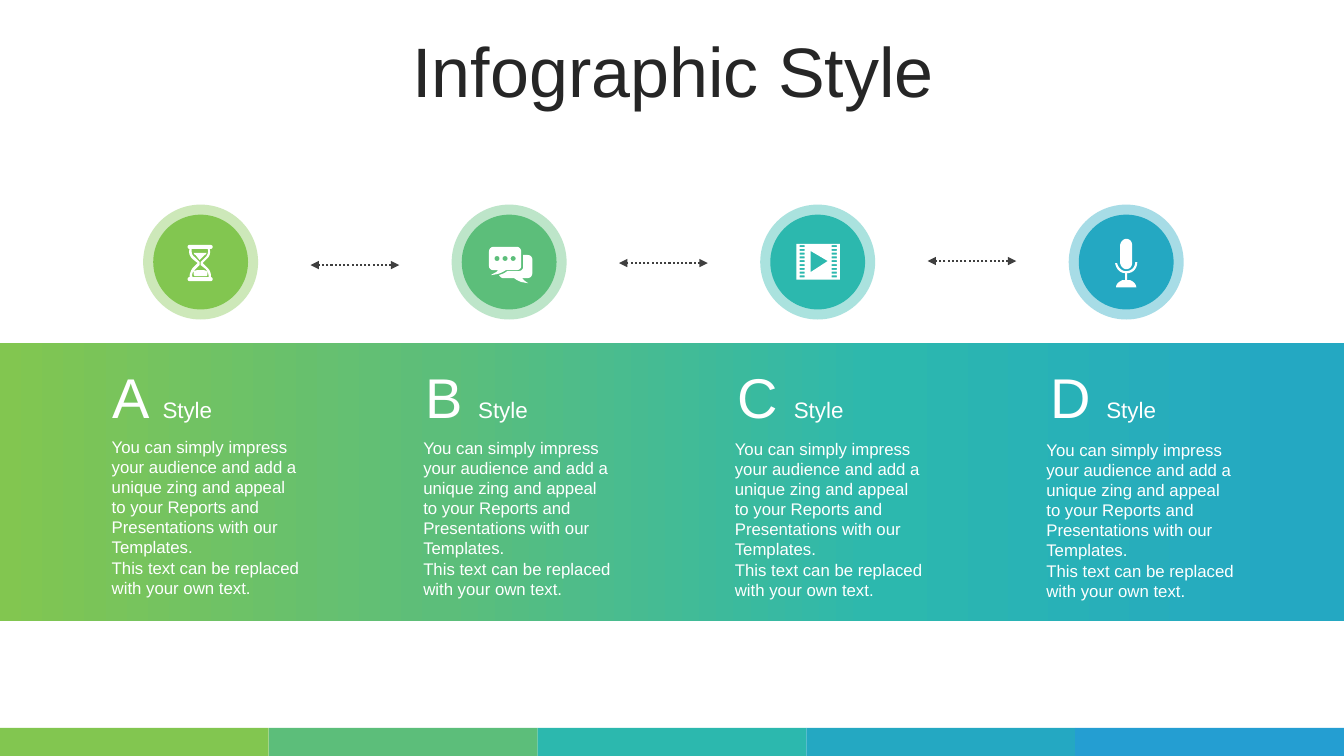
from lxml import etree
from pptx import Presentation
from pptx import util as u
from pptx.dml.color import RGBColor
from pptx.enum import dml, shapes, text
from pptx.oxml import ns

GREEN, MINT, TEAL, BLUE, AZURE = "82C650", "5CBE7A", "2CB8AE", "24A8C2", "249ED2"
WHITE = "FFFFFF"
KIND = shapes.MSO_SHAPE
BODY = (
    "You can simply impress your audience and add a unique zing and appeal "
    "to your Reports and Presentations with our Templates.\n"
    "This text can be replaced with your own text."
)


def paint(code):
    return RGBColor.from_string(code)


def child(node, tag, **attrs):
    return etree.SubElement(node, ns.qn(tag), **attrs)


def trace(outline):
    points = []
    for part in outline.split(","):
        nums = [float(n) for n in part.split()]
        if len(nums) == 2:
            points.append(tuple(nums))
            continue
        ends = [points[-1], *zip(nums[::2], nums[1::2])]
        for step in range(1, 9):
            t = step / 8
            mix = ((1 - t) ** 3, 3 * t * (1 - t) ** 2, 3 * t * t * (1 - t), t ** 3)
            points.append(tuple(sum(m * p[i] for m, p in zip(mix, ends)) for i in (0, 1)))
    return points


def block(x, y, w, h):
    return f"{x} {y}, {x + w} {y}, {x + w} {y + h}, {x} {y + h}"


def dot(x, y, r):
    a, b, top, low = x - r, x + r, y - r * 4 / 3, y + r * 4 / 3
    return f"{a} {y}, {a} {top} {b} {top} {b} {y}, {b} {low} {a} {low} {a} {y}"


GLASS = [
    "2 0, 23 0, 24 0 25 1 25 2, 25 3 24 4 23 4, 22 4, 23 8 22 11 20 13, 15 18, "
    "20 23, 22 25 24 29 23 32, 24 32 25 33 25 34, 25 35 24 36 23 36, 2 36, "
    "1 36 0 35 0 34, 0 33 1 32 2 32, 2 29 3 26 5 23, 10 18, 5 14, "
    "2 11 1 8 2 4, 1 4 0 3 0 2, 0 1 1 0 2 0",
    "4 4, 4 7 4 10 7 12, 12 17, 12 20, 7 25, 5 27 4 29 5 32, 21 32, "
    "21 29 20 26 18 24, 13 20, 13 17, 18 12, 20 10 21 7 20 4",
    "6 8, 19 8, 18 9 18 10 17 10, 12 15, 8 10, 7 10 7 9 6 8",
    "13 25, 15 25 17 25 19 26, 20 28 20 30 19 31, 7 31, 6 30 6 28 6 26, 9 25 11 25 13 25",
]
CHAT = [
    "4 0, 28 0, 30 0 32 2 32 5, 32 19, 32 21 30 23 28 23, 17 23, 12 26 10 27 2 28, "
    "6 25 7 26 9 23, 4 23, 2 23 0 21 0 19, 0 5, 0 2 2 0 4 0",
    "34 8, 38 8, 41 8 43 10 43 12, 43 26, 43 29 41 31 38 31, 33 31, "
    "34 32 34 33 39 36, 31 35 29 34 25 31, 14 31, 13 31 11 30 10 28, "
    "13 27 16 26 18 24, 29 24, 32 24 34 22 34 20",
] + [dot(x, 11.5, 2.5) for x in (8, 16, 24)]
FILM = [block(0, 0, 43, 35.5), "14 7, 14 28, 31 17"] + [
    block(x, 1.2 + 3.75 * row, 5, 2) for x in (3, 35) for row in range(9)
]
MIC = [
    "22 23, 22 29 18 34 12 34, 12 41, 13 41 14 41 15 41, 18 42 21 45 21 48, 1 48, "
    "1 45 3 43 7 41, 8 41 9 41 10 41, 10 34, 5 34 1 30 0 24, 2 24, "
    "3 29 7 32 11 32, 16 32 20 28 20 23",
    "11 0, 15 0 17 3 17 7, 17 23, 17 27 15 30 11 30, 8 30 5 27 5 23, 5 7, 5 3 8 0 11 0",
]


class Deck:
    font = "Arial"

    def __init__(self):
        self.show = Presentation()
        self.show.slide_width = u.Inches(13.33)
        self.show.slide_height = u.Inches(7.5)
        self.slide = self.show.slides.add_slide(self.show.slide_layouts[6])
        self.items = self.slide.shapes

    def plain(self, shape, color):
        shape.shadow.inherit = False
        shape.fill.solid()
        shape.fill.fore_color.rgb = paint(color)
        shape.line.fill.background()

    def shape(self, kind, area, color, alpha=100):
        item = self.items.add_shape(kind, *map(u.Inches, area))
        self.plain(item, color)
        if alpha < 100:
            tint = item._element.spPr.find(".//" + ns.qn("a:srgbClr"))
            child(tint, "a:alpha", val=str(alpha * 1000))
        return item

    def band(self, area, stops):
        item = self.shape(KIND.RECTANGLE, area, GREEN)
        item.fill.gradient()
        item.fill.gradient_angle = 0
        group = item._element.spPr.find(".//" + ns.qn("a:gsLst"))
        for old in list(group):
            group.remove(old)
        for spot, color in stops:
            stop = child(group, "a:gs", pos=str(spot * 1000))
            child(stop, "a:srgbClr", val=color)

    def style(self, run, size, color):
        run.font.name = self.font
        run.font.size = u.Pt(size)
        run.font.color.rgb = paint(color)

    def label(self, area, words, size, color=WHITE, anchor=text.MSO_ANCHOR.TOP):
        frame = self.items.add_textbox(*map(u.Inches, area)).text_frame
        frame.word_wrap = True
        frame.vertical_anchor = anchor
        frame.text = words
        for para in frame.paragraphs:
            for run in para.runs:
                self.style(run, size, color)
        return frame.paragraphs[0]

    def arrow(self, x, y, end):
        line = self.items.add_connector(
            shapes.MSO_CONNECTOR.STRAIGHT, *map(u.Inches, (x, y, end, y))
        )
        line.line.color.rgb = paint("3F3F3F")
        line.line.width = u.Pt(1.5)
        line.line.dash_style = dml.MSO_LINE.ROUND_DOT
        props = line._element.spPr
        for tip in ("a:headEnd", "a:tailEnd"):
            child(props.find(ns.qn("a:ln")), tip, type="triangle")
        child(props, "a:effectLst")

    def icon(self, x, y, outlines):
        pen = None
        for outline in outlines:
            points = [(x * 1000 + a * 10, y * 1000 + b * 10) for a, b in trace(outline)]
            if pen is None:
                pen = self.items.build_freeform(*points[0], scale=u.Inches(1) / 1000)
            else:
                pen.move_to(*points[0])
            pen.add_line_segments(points[1:], close=True)
        self.plain(pen.convert_to_shape(), WHITE)


def main():
    deck = Deck()
    for i, color in enumerate((GREEN, MINT, TEAL, BLUE, AZURE)):
        deck.shape(KIND.RECTANGLE, (i * 13.33 / 5, 7.22, 13.33 / 5, 0.28), color)

    title = deck.label(
        (0.35, 0.37, 12.66, 0.79), "Infographic Style", 50, "262626", text.MSO_ANCHOR.MIDDLE
    )
    title.alignment = text.PP_ALIGN.CENTER
    title.line_spacing = 0.8

    deck.band((0, 3.4, 13.33, 2.76), [(0, GREEN), (33, MINT), (66, TEAL), (96, BLUE)])

    steps = [
        ("A", GREEN, GLASS, 1.86, 2.43),
        ("B", MINT, CHAT, 4.85, 2.45),
        ("C", TEAL, FILM, 7.9, 2.42),
        ("D", BLUE, MIC, 11.06, 2.37),
    ]
    for i, (mark, color, art, x, y) in enumerate(steps):
        left = 1.42 + 3.06 * i
        deck.shape(KIND.OVAL, (left, 2.03, 1.14, 1.14), color, 40)
        deck.shape(KIND.OVAL, (left + 0.1, 2.13, 0.94, 0.94), color)
        deck.icon(x, y, art)
        deck.label((1.01 + 3.09 * i, 4.28 + 0.01 * i, 2.07, 1.72), BODY, 12)
        head = deck.label(
            (1.02 + 3.1 * i, 3.54, 1.57, 0.77), mark + " ", 40, anchor=text.MSO_ANCHOR.BOTTOM
        )
        tail = head.add_run()
        tail.text = "Style"
        deck.style(tail, 16, WHITE)

    for i in range(3):
        right = 3.96 + 3.06 * i
        deck.arrow(right, 2.63 - 0.02 * i, right - 0.88)

    deck.show.save("out.pptx")


if __name__ == "__main__":
    main()
